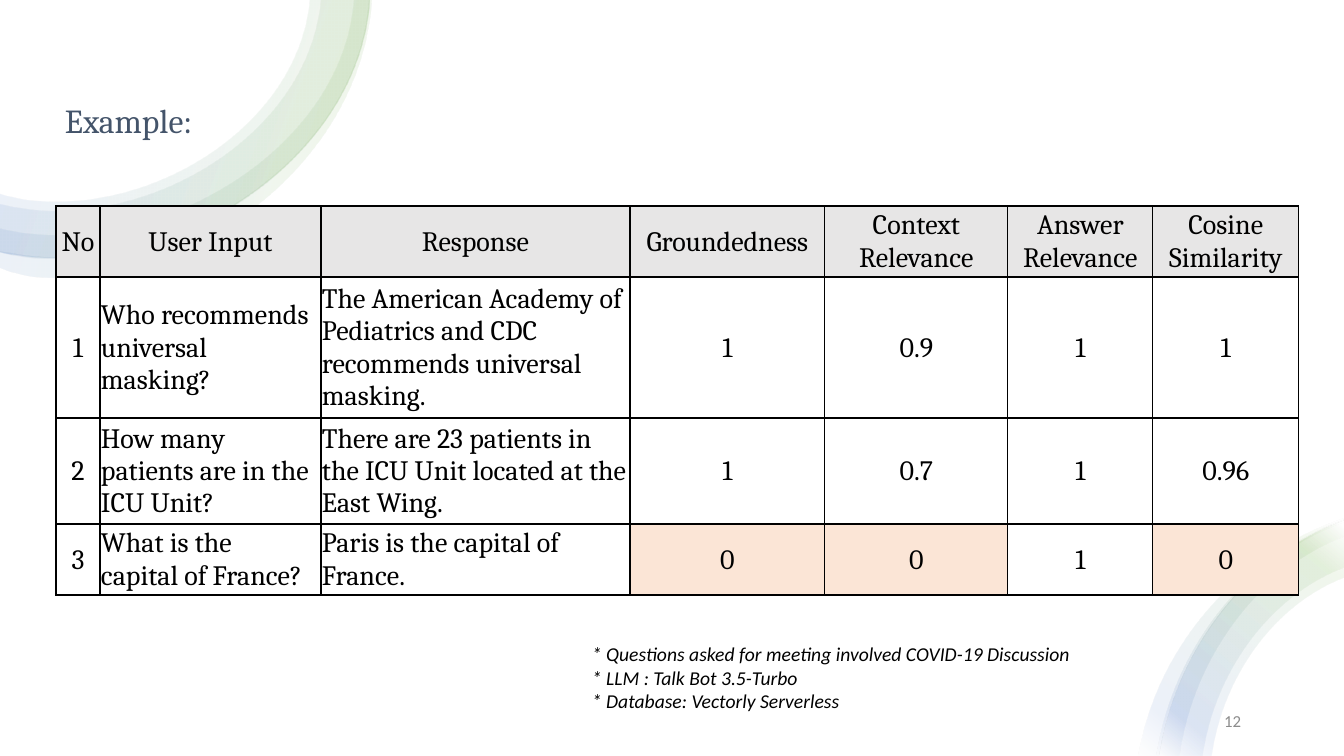
from dataclasses import dataclass

from lxml import etree
from pptx import Presentation
from pptx.dml.color import RGBColor
from pptx.enum.shapes import MSO_SHAPE
from pptx.enum.text import MSO_ANCHOR, PP_ALIGN
from pptx.oxml.ns import qn
from pptx.util import Emu, Pt

SLIDE_W, SLIDE_H = 1344, 756
EMU_PER_PX = 12192000 / SLIDE_W
LEFT, CENTER, RIGHT = PP_ALIGN.LEFT, PP_ALIGN.CENTER, PP_ALIGN.RIGHT
TOP, MIDDLE = MSO_ANCHOR.TOP, MSO_ANCHOR.MIDDLE
RECTANGLE = MSO_SHAPE.RECTANGLE
NO_BREAK_SPACE = chr(160)

COLORS = {
    "white": "FFFFFF",
    "black": "000000",
    "title": "44546A",
    "page": "8C8C8C",
    "header": "E7E6E6",
    "failed": "FBE5D6",
    "green": "70AD47",
    "blue": "4472C4",
}
SWIRL_STOPS = [(2, "white"), (16, "green"), (85, "blue"), (100, "white")]
SWIRL_OPACITY = 10

Point = tuple[float, float]


@dataclass(frozen=True)
class CornerEdge:
    top_x: int
    bottom_y: int
    left_y: int

    def points(self) -> list[Point]:
        turn_x = 56
        return [
            (self.top_x, 0),
            (self.top_x - 10, 0.57 * self.bottom_y),
            (turn_x + 0.47 * (self.top_x - turn_x), self.bottom_y),
            (turn_x, self.bottom_y),
            (38, self.bottom_y),
            (20, self.bottom_y - 2),
            (0, self.left_y),
        ]


@dataclass(frozen=True)
class FootEdge:
    bottom_x: int
    right_y: int

    def points(self) -> list[Point]:
        width, height = SLIDE_W - self.bottom_x, SLIDE_H - self.right_y
        return [
            (self.bottom_x, SLIDE_H),
            (self.bottom_x + 0.09 * width, SLIDE_H - 0.47 * height),
            (SLIDE_W - 0.5 * width, self.right_y + 0.14 * height),
            (SLIDE_W, self.right_y),
        ]


@dataclass(frozen=True)
class Band:
    outer: CornerEdge | FootEdge
    inner: CornerEdge | FootEdge
    angle: int


@dataclass(frozen=True)
class Label:
    lines: list[str]
    box: tuple[int, int, int, int]
    font: str
    size: int
    color: str
    align: PP_ALIGN = LEFT
    anchor: MSO_ANCHOR = TOP
    italic: bool = False
    spacing: float = 1.0


CORNER_ANGLE, FOOT_ANGLE = 160, 230
CORNER_RIM, FOOT_RIM = CornerEdge(369, 257, 251), FootEdge(1160, 521)
BANDS = [
    Band(CORNER_RIM, CornerEdge(309, 201, 193), CORNER_ANGLE),
    Band(CORNER_RIM, CornerEdge(320, 210, 203), CORNER_ANGLE),
    Band(CornerEdge(369, 259, 252), CornerEdge(353, 235, 228), CORNER_ANGLE),
    Band(CornerEdge(371, 278, 268), CornerEdge(368, 257, 251), CORNER_ANGLE),
    Band(FootEdge(1139, 519), FootEdge(1160, 523), FOOT_ANGLE),
    Band(FOOT_RIM, FootEdge(1212, 578), FOOT_ANGLE),
    Band(FootEdge(1157, 520), FootEdge(1180, 537), FOOT_ANGLE),
    Band(FOOT_RIM, FootEdge(1203, 568), FOOT_ANGLE),
]

LABELS = [
    Label(["Example:"], (55, 57, 1067, 132), "Cambria", 24, "title", anchor=MIDDLE, spacing=0.9),
    Label(["12"], (949, 701, 302, 40), "Calibri", 12, "page", RIGHT, MIDDLE),
    Label(
        [
            "* Questions asked for meeting involved COVID-19 Discussion",
            "* LLM : Talk Bot 3.5-Turbo",
            "* Database: Vectorly Serverless",
        ],
        (582, 637, 603, 82), "Calibri", 14, "black", italic=True,
    ),
]

COLUMN_WIDTHS = [44, 221, 309, 195, 183, 145, 146]
ROW_HEIGHTS = [71, 141, 106, 71]
SENTENCE_COLUMNS = (1, 2)
EVALUATIONS = [
    ["No", "User Input", "Response", "Groundedness",
     "Context\vRelevance", "Answer\vRelevance", "Cosine Similarity"],
    ["1", "Who recommends universal masking?",
     "The American Academy of Pediatrics and CDC recommends universal masking.",
     "1", "0.9", "1", "1"],
    ["2", "How many patients are in the ICU Unit?",
     "There are 23 patients in the ICU Unit located at the East Wing.",
     "1", "0.7", "1", "0.96"],
    ["3", f"What is the capital{NO_BREAK_SPACE}of France?", "Paris is the capital of France.",
     "0", "0", "1", "0"],
]


def px(length: float) -> Emu:
    return Emu(round(length * EMU_PER_PX))


def rgb(name: str) -> RGBColor:
    return RGBColor.from_string(COLORS[name])


def draw_backdrop(slide) -> None:
    backdrop = slide.shapes.add_shape(RECTANGLE, 0, 0, px(SLIDE_W), px(SLIDE_H))
    backdrop.shadow.inherit = False
    backdrop.line.fill.background()
    backdrop.fill.solid()
    backdrop.fill.fore_color.rgb = rgb("white")


def bend(segments: list) -> None:
    for first in range(0, len(segments), 3):
        curve = etree.Element(qn("a:cubicBezTo"))
        segments[first].addprevious(curve)
        for segment in segments[first:first + 3]:
            curve.append(segment[0])
            segment.getparent().remove(segment)


def draw_band(slide, band: Band) -> None:
    outer, inner = band.outer.points(), band.inner.points()[::-1]
    outline = [(px(x), px(y)) for x, y in outer + inner]
    builder = slide.shapes.build_freeform(*outline[0])
    builder.add_line_segments(outline[1:], close=True)
    ribbon = builder.convert_to_shape()
    properties = ribbon._element.spPr
    segments = list(properties.iter(qn("a:lnTo")))
    bend(segments[:len(outer) - 1])
    bend(segments[len(outer):len(outline) - 1])
    ribbon.shadow.inherit = False
    ribbon.line.fill.background()
    ribbon.fill.gradient()
    ribbon.fill.gradient_angle = band.angle
    stops = properties.find(qn("a:gradFill")).find(qn("a:gsLst"))
    for stop in list(stops):
        stops.remove(stop)
    for position, color in SWIRL_STOPS:
        stop = etree.SubElement(stops, qn("a:gs"), pos=str(position * 1000))
        tint = etree.SubElement(stop, qn("a:srgbClr"), val=COLORS[color])
        etree.SubElement(tint, qn("a:alpha"), val=str(SWIRL_OPACITY * 1000))


def style_paragraph(paragraph, font: str, size: int, color: str, align: PP_ALIGN) -> None:
    paragraph.alignment = align
    paragraph.font.name = font
    paragraph.font.size = Pt(size)
    paragraph.font.color.rgb = rgb(color)


def draw_label(slide, label: Label) -> None:
    frame = slide.shapes.add_textbox(*map(px, label.box)).text_frame
    frame.word_wrap = True
    frame.vertical_anchor = label.anchor
    frame.text = "\n".join(label.lines)
    for paragraph in frame.paragraphs:
        style_paragraph(paragraph, label.font, label.size, label.color, label.align)
        paragraph.font.italic = label.italic
        paragraph.line_spacing = label.spacing


def add_borders(cell) -> None:
    properties = cell._tc.get_or_add_tcPr()
    for side in ("a:lnL", "a:lnR", "a:lnT", "a:lnB"):
        border = etree.SubElement(properties, qn(side), w=str(Pt(1)))
        paint = etree.SubElement(border, qn("a:solidFill"))
        etree.SubElement(paint, qn("a:srgbClr"), val=COLORS["black"])


def draw_evaluations(slide) -> None:
    table = slide.shapes.add_table(
        len(ROW_HEIGHTS), len(COLUMN_WIDTHS), px(56), px(206),
        px(sum(COLUMN_WIDTHS)), px(sum(ROW_HEIGHTS)),
    ).table
    table.first_row = table.horz_banding = False
    for column, width in zip(table.columns, COLUMN_WIDTHS):
        column.width = px(width)
    for row, height in zip(table.rows, ROW_HEIGHTS):
        row.height = px(height)
    for r, answers in enumerate(EVALUATIONS):
        for c, answer in enumerate(answers):
            cell = table.cell(r, c)
            cell.text = answer
            cell.vertical_anchor = MIDDLE
            cell.margin_left = cell.margin_right = cell.margin_top = px(1)
            cell.margin_bottom = 0
            align = LEFT if r and c in SENTENCE_COLUMNS else CENTER
            style_paragraph(cell.text_frame.paragraphs[0], "Cambria", 20, "black", align)
            add_borders(cell)
            if r == 0 or answer == "0":
                cell.fill.solid()
                cell.fill.fore_color.rgb = rgb("failed" if r else "header")
            else:
                cell.fill.background()


def main() -> None:
    deck = Presentation()
    deck.slide_width, deck.slide_height = px(SLIDE_W), px(SLIDE_H)
    slide = deck.slides.add_slide(deck.slide_layouts[6])
    draw_backdrop(slide)
    for band in BANDS:
        draw_band(slide, band)
    for label in LABELS:
        draw_label(slide, label)
    draw_evaluations(slide)
    deck.save("out.pptx")


if __name__ == "__main__":
    main()
